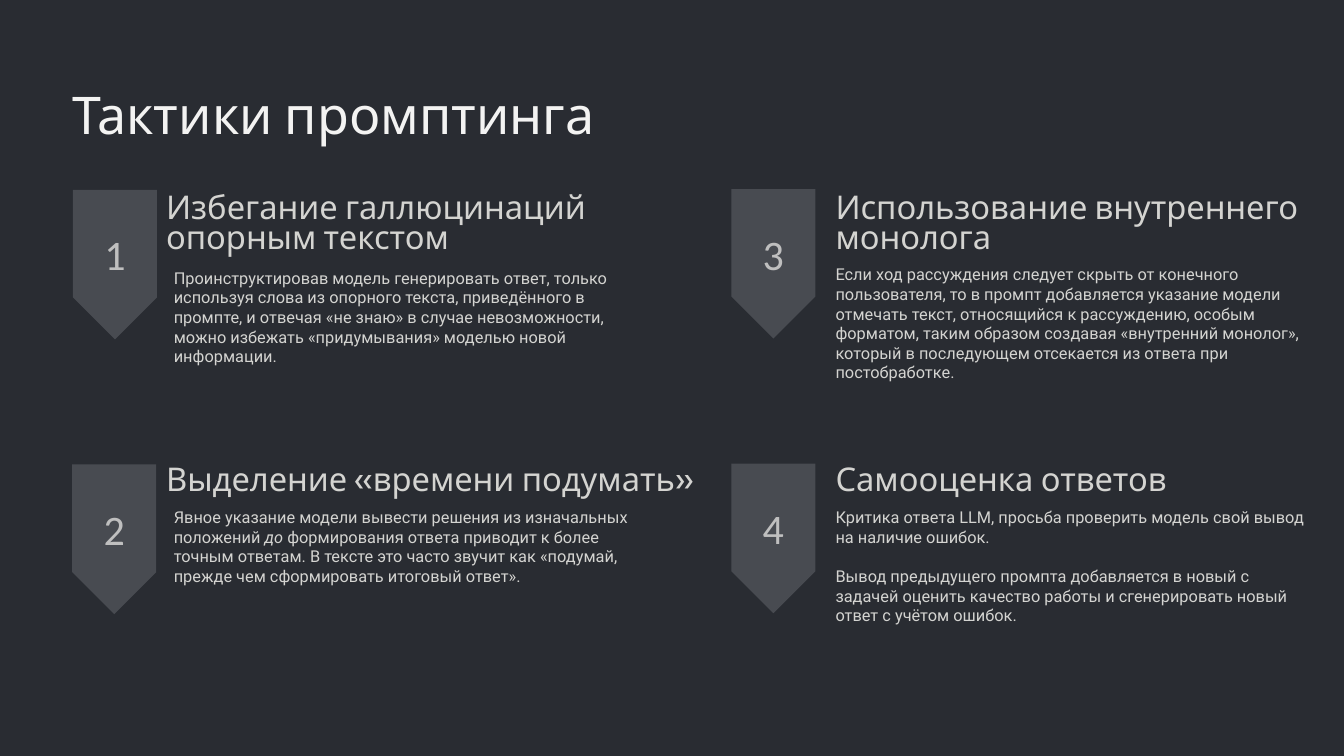
from pptx import Presentation
from pptx.dml.color import RGBColor
from pptx.enum import shapes, text
from pptx.util import Pt

LIGHT = "D4D4D1"
# number, badge left, heading left, body left, badge top, heading top, body top
SPOTS = [
    (1, 34.4, 142.5, 149, 190.8, 167.7, 229.7),
    (2, 33.8, 142.5, 149, 426.2, 401, 434.9),
    (3, 598.8, 716.2, 716.2, 190.1, 167.4, 226.8),
    (4, 598.8, 716.2, 716.2, 425.5, 401, 434.9),
]
# Underscores enclose italic words
TACTICS = [
    (["Избегание галлюцинаций", "опорным текстом"],
     ["Проинструктировав модель генерировать ответ, только используя слова из "
      "опорного текста, приведённого в промпте, и отвечая «не знаю» в случае "
      "невозможности, можно избежать «придумывания» моделью новой информации."]),
    (["Выделение «времени подумать»"],
     ["Явное указание модели вывести решения из изначальных положений _до_ "
      "формирования ответа приводит к более точным ответам. В тексте это часто "
      "звучит как «подумай, прежде чем сформировать итоговый ответ»."]),
    (["Использование внутреннего", "монолога"],
     ["Если ход рассуждения следует скрыть от конечного пользователя, то в промпт "
      "добавляется указание модели отмечать текст, относящийся к рассуждению, "
      "особым форматом, таким образом создавая «внутренний монолог», который в "
      "последующем отсекается из ответа при постобработке."]),
    (["Самооценка ответов"],
     ["Критика ответа LLM, просьба проверить модель свой вывод на наличие ошибок.",
      "Вывод предыдущего промпта добавляется в новый с задачей оценить качество "
      "работы и сгенерировать новый ответ с учётом ошибок."]),
]


def paint(item, color):
    """Give a fill or a font one solid colour."""
    if hasattr(item, "solid"):
        item.solid()
        item.fore_color.rgb = RGBColor.from_string(color)
    else:
        item.color.rgb = RGBColor.from_string(color)


def write(box, lines, face, size, color, wrap=False, pitch=None, gap=0):
    """Fill a box without margins; pitch is line spacing, gap parts paragraphs."""
    frame = box.text_frame
    frame.margin_left = frame.margin_right = 0
    frame.margin_top = frame.margin_bottom = 0
    frame.auto_size = text.MSO_AUTO_SIZE.NONE
    frame.vertical_anchor = text.MSO_ANCHOR.TOP
    frame.word_wrap = wrap
    for i, line in enumerate(lines):
        para = frame.add_paragraph() if i else frame.paragraphs[0]
        para.alignment = text.PP_ALIGN.LEFT
        para.space_before = Pt(gap if i else 0)
        if pitch:
            para.line_spacing = Pt(pitch)
        for j, part in enumerate(line.split("_")):
            run = para.add_run()
            run.text = part
            if j % 2:
                run.font.italic = True
        para.font.name, para.font.size = face, Pt(size)
        paint(para.font, color)


prs = Presentation()
prs.slide_width, prs.slide_height = Pt(1152), Pt(648)
slide = prs.slides.add_slide(prs.slide_layouts[5])
paint(slide.background.fill, "292C32")

title = slide.shapes.title
title.left, title.top, title.width, title.height = Pt(62.2), Pt(68.4), Pt(640), Pt(56.2)
write(title, ["Тактики промптинга"], "Cabin", 44.5, "F3F3F2", wrap=True, pitch=55.5)

for spot, (head, body) in zip(SPOTS, TACTICS):
    num, left, head_x, body_x, top, head_y, body_y = spot
    badge = slide.shapes.add_shape(shapes.MSO_SHAPE.PENTAGON,
                                   Pt(left), Pt(top), Pt(128.2), Pt(72))
    badge.rotation = 90
    badge.shadow.inherit = False
    paint(badge.fill, "484B51")
    badge.line.fill.background()
    frame = badge.text_frame
    frame.vertical_anchor = text.MSO_ANCHOR.MIDDLE
    frame._txBody.bodyPr.set("vert", "vert270")
    para = frame.paragraphs[0]
    para.text = str(num)
    para.alignment = text.PP_ALIGN.CENTER
    para.font.name, para.font.size = "Calibri", Pt(36)
    paint(para.font, "BFBFBF")

    box = slide.shapes.add_textbox(Pt(head_x), Pt(head_y), Pt(208.8), Pt(26))
    write(box, head, "Cabin", 28, LIGHT, pitch=26)
    box = slide.shapes.add_textbox(Pt(body_x), Pt(body_y), Pt(404), Pt(133.2))
    write(box, body, "Roboto", 14, LIGHT, wrap=True, gap=16.8)

prs.save("out.pptx")
